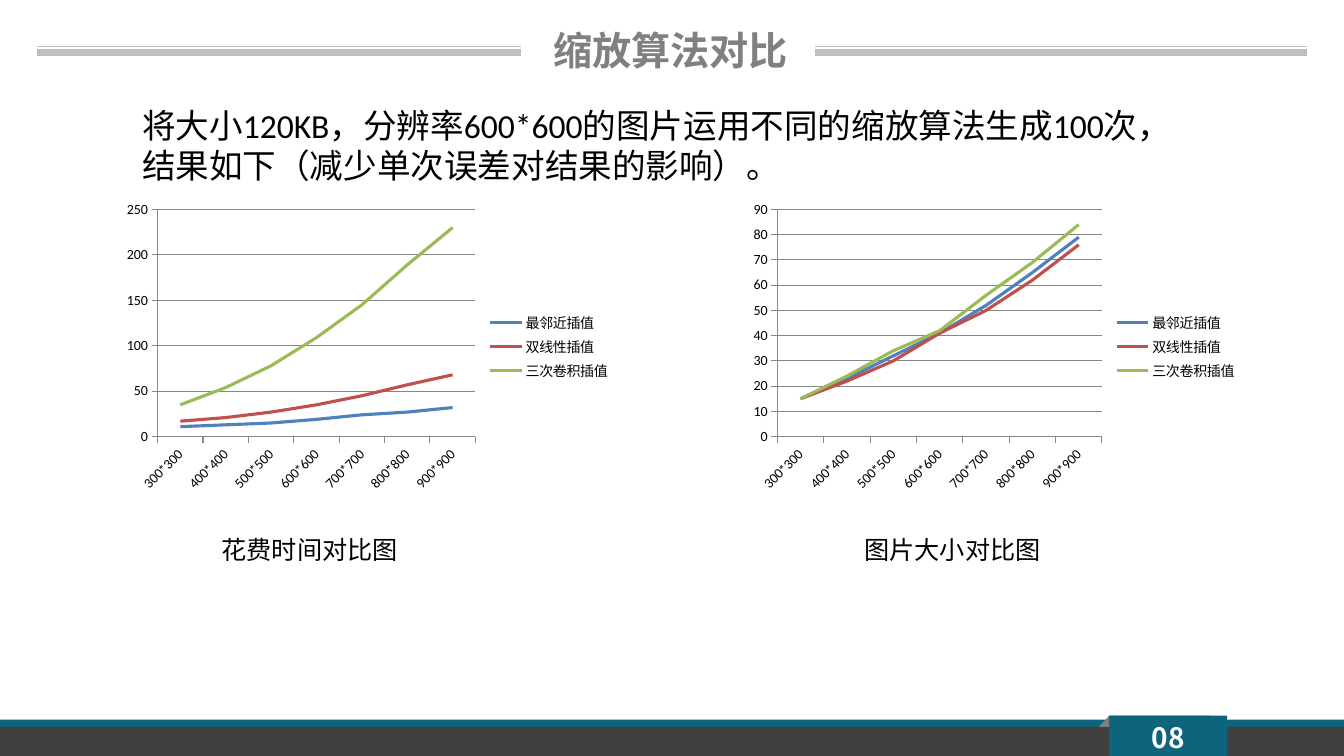
from lxml import etree
from pptx import Presentation
from pptx.chart.data import CategoryChartData
from pptx.dml.color import RGBColor
from pptx.enum.chart import XL_CHART_TYPE, XL_LEGEND_POSITION, XL_TICK_MARK
from pptx.enum.shapes import MSO_CONNECTOR, MSO_SHAPE
from pptx.enum.text import MSO_ANCHOR, MSO_AUTO_SIZE, PP_ALIGN
from pptx.oxml.ns import qn
from pptx.util import Pt

PX = 9144
RECT = MSO_SHAPE.RECTANGLE
STRAIGHT = MSO_CONNECTOR.STRAIGHT
LINE = XL_CHART_TYPE.LINE
RIGHT = XL_LEGEND_POSITION.RIGHT
OUTSIDE, NO_TICK = XL_TICK_MARK.OUTSIDE, XL_TICK_MARK.NONE
LEFT, CENTER = PP_ALIGN.LEFT, PP_ALIGN.CENTER
TOP, MIDDLE = MSO_ANCHOR.TOP, MSO_ANCHOR.MIDDLE
NO_FIT = MSO_AUTO_SIZE.NONE

TEAL = RGBColor(0x0E, 0x64, 0x7C)
DARK = RGBColor(0x40, 0x40, 0x40)
GRAY = RGBColor(0x80, 0x80, 0x80)
SILVER = RGBColor(0xBF, 0xBF, 0xBF)
AXIS = RGBColor(0x86, 0x86, 0x86)
WHITE = RGBColor(0xFF, 0xFF, 0xFF)
BLACK = RGBColor(0x00, 0x00, 0x00)
BLUE = RGBColor(0x4F, 0x81, 0xBD)
RED = RGBColor(0xC0, 0x50, 0x4D)
GREEN = RGBColor(0x9B, 0xBB, 0x59)

LATIN, CJK = "Calibri", "Noto Sans CJK SC"
SIZES = [f"{n}*{n}" for n in range(300, 1000, 100)]
METHODS = [("最邻近插值", BLUE), ("双线性插值", RED), ("三次卷积插值", GREEN)]
TIMES = [
    (11, 13, 15, 19, 24, 27, 32),
    (17, 21, 27, 35, 45, 57, 68),
    (35, 54, 78, 109, 145, 189, 230),
]
FILE_SIZES = [
    (15, 23, 32, 41, 52, 65, 79),
    (15, 22, 30, 41, 50, 62, 76),
    (15, 24, 34, 42, 56, 69, 84),
]


def px(*lengths):
    """Turn px lengths into EMU."""
    return [n * PX for n in lengths]


def place(sp, box):
    """Move a shape to a px box."""
    sp.left, sp.top, sp.width, sp.height = px(*box)


def paint(sp, color):
    """Give a shape a flat fill without line or shadow."""
    sp.shadow.inherit = False
    sp.fill.solid()
    sp.fill.fore_color.rgb = color
    sp.line.fill.background()


def write(sp, text, size, color, font=LATIN, bold=False, align=LEFT, anchor=TOP):
    """Write one formatted run into a shape."""
    tf = sp.text_frame
    tf.word_wrap = True
    tf.auto_size = NO_FIT
    tf.vertical_anchor = anchor
    p = tf.paragraphs[0]
    p.alignment = align
    p.space_before = Pt(0)
    r = p.add_run()
    r.text = text
    r.font.size = Pt(size)
    r.font.bold = bold
    r.font.name = font
    r.font.color.rgb = color
    ea = etree.SubElement(r.font._element, qn("a:ea"))
    ea.set("typeface", CJK)
    return p


def add_rule(s, x1, x2, y, width):
    """Draw a horizontal rule."""
    line = s.shapes.add_connector(STRAIGHT, *px(x1, y, x2, y))
    line.line.color.rgb = SILVER
    line.line.width = Pt(width)
    etree.SubElement(line._element.spPr, qn("a:effectLst"))


def add_header(s, box):
    """Place the title between two pairs of rules."""
    x, y, w, h = box
    title = s.shapes.title
    place(title, (x + 485, y, 287, h))
    write(title, "缩放算法对比", 28, GRAY, CJK, True, CENTER, MIDDLE)
    for x1, x2 in ((x, x + 480), (x + w - 488, x + w)):
        add_rule(s, x1, x2, y + 25, 0.75)
        add_rule(s, x1, x2, y + 31, 4.5)


def add_intro(s, box):
    """Fill the body placeholder with the unbulleted introduction."""
    body = s.placeholders[1]
    place(body, box)
    p = write(body, "将大小120KB，分辨率600*600的图片运用不同的缩放算法生成100次，"
              "结果如下（减少单次误差对结果的影响）。", 24, BLACK)
    pPr = p._p.get_or_add_pPr()
    pPr.set("marL", "0")
    pPr.set("indent", "0")
    etree.SubElement(pPr, qn("a:buNone"))


def add_comparison(s, box, caption_x, caption, rows, top, step):
    """Place a line chart with its caption below."""
    x, y, w, h = box
    data = CategoryChartData()
    data.categories = SIZES
    for (name, _), values in zip(METHODS, rows):
        data.add_series(name, values)
    chart = s.shapes.add_chart(LINE, *px(*box), data).chart
    chart.has_title = False
    chart.font.name = LATIN
    chart.font.size = Pt(10)
    chart.font.color.rgb = BLACK
    chart.has_legend = True
    chart.legend.position = RIGHT
    chart.legend.include_in_layout = False
    chart.plots[0].vary_by_categories = False
    for series, (_, color) in zip(chart.plots[0].series, METHODS):
        series.smooth = False
        series.format.line.color.rgb = color
        series.format.line.width = Pt(2.25)
    for axis in (chart.category_axis, chart.value_axis):
        axis.major_tick_mark = OUTSIDE
        axis.minor_tick_mark = NO_TICK
        axis.format.line.color.rgb = AXIS
    scale = chart.value_axis
    scale.minimum_scale, scale.maximum_scale, scale.major_unit = 0, top, step
    scale.has_major_gridlines = True
    scale.major_gridlines.format.line.color.rgb = AXIS
    label = s.shapes.add_textbox(*px(x + caption_x, y + h + 31, 205, 40))
    write(label, caption, 18, BLACK)


def add_footer(s, box):
    """Place the bottom bars and the page number tab."""
    x, y, w, h = box
    for top, color in ((4, TEAL), (11, DARK)):
        paint(s.shapes.add_shape(RECT, *px(x, y + top, w, h - top)), color)
    fold = s.shapes.build_freeform(x + 1101, y, scale=PX)
    fold.add_line_segments([(x + 1201, y), (x + 1202, y + 12), (x + 1091, y + 11)])
    paint(fold.convert_to_shape(), GRAY)
    paint(s.shapes.add_shape(RECT, *px(x + 1101, y, 117, h)), TEAL)
    number = s.shapes.add_textbox(*px(x + 1116, y, 87, h + 3))
    write(number, "08", 20, WHITE, CJK, True, CENTER, MIDDLE)


def main():
    """Build and save the slide."""
    prs = Presentation()
    prs.slide_width, prs.slide_height = px(1334, 750)
    s = prs.slides.add_slide(prs.slide_layouts[1])
    add_footer(s, (0, 710, 1334, 40))
    add_header(s, (37, 21, 1260, 57))
    add_comparison(s, (116, 194, 500, 300), 94, "花费时间对比图", TIMES, 250, 50)
    add_comparison(s, (738, 194, 500, 300), 110, "图片大小对比图", FILE_SIZES, 90, 10)
    add_intro(s, (131, 99, 1071, 91))
    prs.save("out.pptx")


if __name__ == "__main__":
    main()
